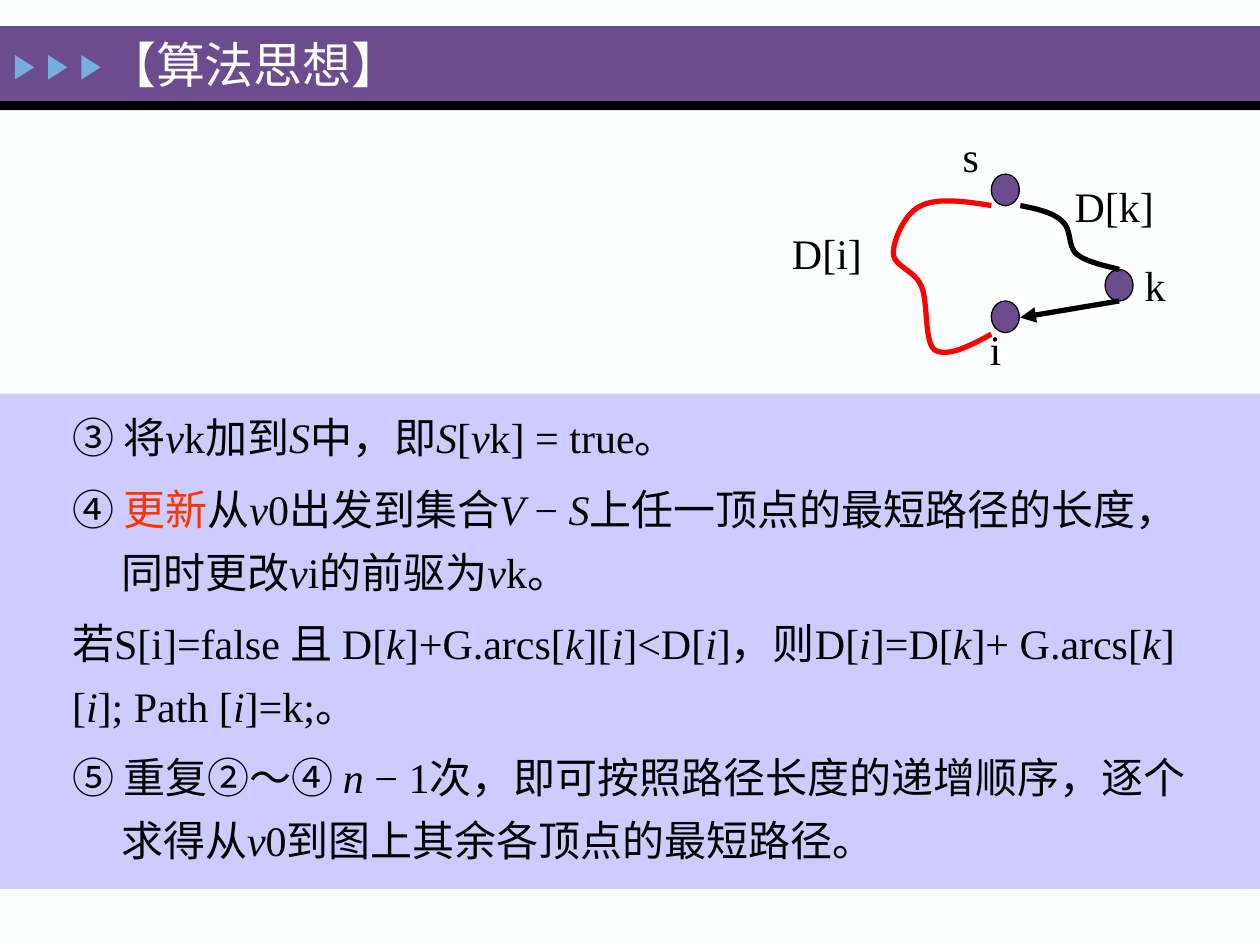
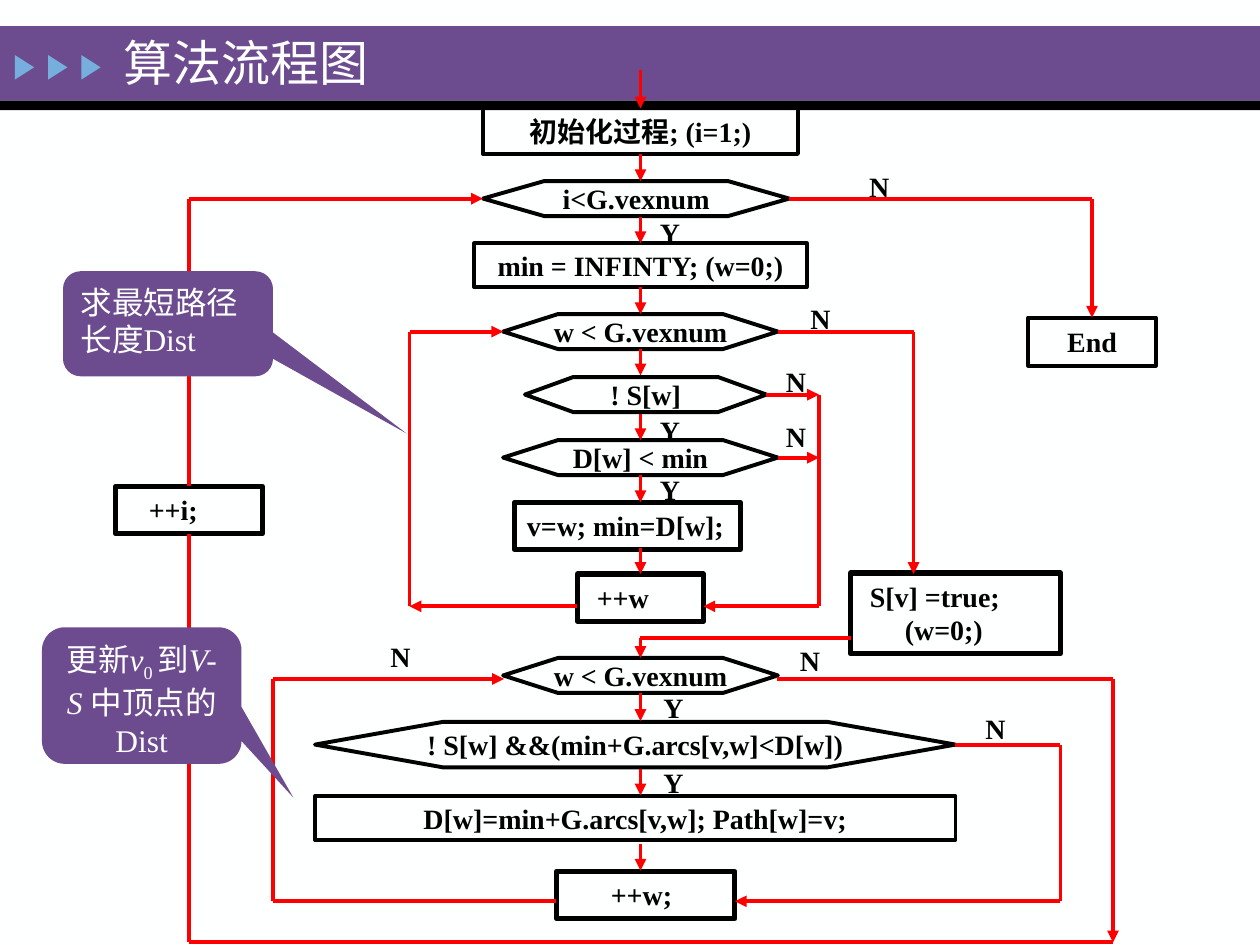
from itertools import pairwise

from lxml.etree import SubElement
from pptx import Presentation
from pptx.dml.color import RGBColor
from pptx.enum.shapes import MSO_CONNECTOR, MSO_SHAPE as SHAPE
from pptx.enum.text import MSO_ANCHOR as ANCHOR, MSO_AUTO_SIZE as FIT, PP_ALIGN as ALIGN
from pptx.oxml.ns import qn
from pptx.util import Pt

FONT = "Times New Roman"
PURPLE, BLACK, WHITE, RED = "6C4C8F", "000000", "FEFFFF", "FF0000"
SKY, LILAC, ORANGE = "76AEDD", "CCCCFF", "FF3300"

STEPS = [
    (28, "③ 将*v*k加到*S*中，即*S*[*v*k] = true。"),
    (28, "④ #更新#从*v*0出发到集合*V *−* S*上任一顶点的最短路径的长度，同时更改*v*i的前驱为*v*k。"),
    (0, "若S[i]=false 且 D[*k*]+G.arcs[*k*][*i*]<D[*i*]，则D[*i*]=D[*k*]+ G.arcs[*k*][*i*]; Path [*i*]=k;。"),
    (28, "⑤ 重复②～④ *n *− 1次，即可按照路径长度的递增顺序，逐个求得从*v*0到图上其余各顶点的最短路径。"),
]
NODES = [(566.5, 99.5), (566.5, 172), (631.5, 154)]
NODE_LABELS = [("s", 543, 71, 25), ("i", 558.5, 181.5, 25), ("k", 647, 144.5, 33),
               ("D[i]", 445.5, 126.5, 89), ("D[k]", 607, 99.5, 97)]
PATHS = [
    (BLACK, (583, 117.5), [(593, 119.5, 602, 121.5, 607, 126.5), (612.5, 131, 610, 140.5, 615, 145),
                           (620.5, 150, 634.5, 152.5, 639.5, 154)]),
    (RED, (566.5, 117.5), [(551.5, 115, 535.5, 113, 526.5, 117.5), (517, 121.5, 510.5, 137.5, 510.5, 144.5),
                           (510.5, 152.5, 522.5, 154, 526.5, 163.5), (530.5, 172, 528, 195, 534, 200),
                           (541.5, 204.5, 554.5, 197.5, 566.5, 191)]),
]

TESTS = [
    ("i<G.vexnum", 276, 103.5, 175, 20),
    ("w < G.vexnum", 287.5, 179.5, 157, 20),
    ("! S[w]", 300, 215.5, 138, 20),
    ("D[w] < min", 287.5, 251.5, 157, 20),
    ("w < G.vexnum", 287.5, 376, 157, 20),
    ("! S[w] &&(min+G.arcs[v,w]<D[w])", 180, 412.5, 366, 26),
]
PROCESSES = [
    ("初始化过程; (i=1;)", 276, 62, 180, 26),
    ("min = INFINTY; (w=0;)", 271, 139, 190, 25),
    ("D[w]=min+G.arcs[v,w]; Path[w]=v;", 180, 455, 366, 25),
    ("End", 587.5, 181.5, 73, 27.5),
]
ACTIONS = [
    ([(0, "v=w; min=D[w];")], 294, 287, 129, 27),
    ([(4, "++w")], 330, 328, 72, 27),
    ([(24, "++w;")], 318, 498, 102, 27),
    ([(12, "++i;")], 66, 278, 84, 27),
    ([(4, "S[v] =true;"), (24, "(w=0;)")], 486, 327.5, 120, 46),
]
AXIS, DROP = 366, 15
TIPS = [103.5, 139, 179.5, 214.5, 251.5, 287, 328, 412, 454.5, 497.5]
ROUTES = [
    (True, [(AXIS, 40), (AXIS, 62)]),
    (True, [(108, 278), (108, 113.5), (276, 113.5)]),
    (False, [(108, 305), (108, 538.5), (636, 538.5)]),
    (True, [(444, 388), (636, 388), (636, 538.5)]),
    (True, [(451, 113.5), (624, 113.5), (624, 181.5)]),
    (True, [(444.5, 189.5), (522, 189.5), (522, 328)]),
    (True, [(330, 346.5), (234, 346.5)]),
    (True, [(234, 346.5), (234, 189.5), (287.5, 189.5)]),
    (True, [(438, 225.5), (468, 225.5)]),
    (True, [(444.5, 261.5), (468, 261.5)]),
    (True, [(468, 225.5), (468, 346.5), (402, 346.5)]),
    (True, [(486, 364.5), (AXIS, 364.5), (AXIS, 376)]),
    (True, [(318, 515), (156, 515), (156, 388), (288, 388)]),
    (True, [(546, 425.5), (606, 425.5), (606, 515), (420, 515)]),
]
BRANCHES = {
    "N": [(489.5, 93.5), (456, 169), (442, 204.5), (442, 236), (216, 362), (450, 364), (556, 403)],
    "Y": [(370, 119.5), (370, 233), (370, 266.5), (372, 391), (372, 434)],
}
CALLOUTS = [
    ("更新*v*#0 #到*V- S *中顶点的Dist", ALIGN.CENTER, (24, 358.5, 114, 78), (.76, .747, .167)),
    ("求最短路径长度Dist", ALIGN.LEFT, (36, 155, 120, 60), (1.137, 1.046, .167)),
]


def color(value):
    """Turn a hex string into a colour."""
    return RGBColor.from_string(value)


def make_red(font):
    """Mark a run as emphasised."""
    font.color.rgb = color(ORANGE)


def make_subscript(font):
    """Lower a run below the baseline."""
    font._element.set("baseline", "-25000")


def write(p, text, size, ink=BLACK, bold=False, align=ALIGN.LEFT, mark=make_red):
    """Fill a paragraph; *stars* give italics and #hashes apply mark."""
    p.alignment = align
    p.font.name, p.font.size, p.font.bold = FONT, Pt(size), bold
    p.font.color.rgb = color(ink)
    for i, part in enumerate(text.split("#")):
        for j, piece in enumerate(part.split("*")):
            if piece:
                r = p.add_run()
                r.text = piece
                if j % 2:
                    r.font.italic = True
                if i % 2:
                    mark(r.font)


def indent(p, left, first=0):
    """Set the left and first-line indents of a paragraph."""
    pPr = p._p.get_or_add_pPr()
    pPr.set("marL", str(Pt(left)))
    pPr.set("indent", str(Pt(first)))
    return pPr


def place(sp, x, y, w, h):
    """Move and size a shape."""
    sp.left, sp.top, sp.width, sp.height = Pt(x), Pt(y), Pt(w), Pt(h)


def style(sp, fill=None, line=None, width=0.75):
    """Set fill and outline and drop the shadow."""
    sp.shadow.inherit = False
    if fill:
        sp.fill.solid()
        sp.fill.fore_color.rgb = color(fill)
    else:
        sp.fill.background()
    if line:
        sp.line.color.rgb = color(line)
        sp.line.width = Pt(width)
    else:
        sp.line.fill.background()


def shape(s, kind, box, fill=None, line=None, width=0.75):
    """Add a styled preset shape."""
    sp = s.shapes.add_shape(kind, *map(Pt, box))
    style(sp, fill, line, width)
    return sp


def label(s, text, box, size, bold=False):
    """Add a small text box."""
    tf = s.shapes.add_textbox(*map(Pt, box)).text_frame
    tf.word_wrap = not bold
    write(tf.paragraphs[0], text, size, bold=bold)


def line(s, start, end, ink, width, arrow):
    """Add a straight connector."""
    c = s.shapes.add_connector(MSO_CONNECTOR.STRAIGHT, *map(Pt, start + end))
    c.line.color.rgb = color(ink)
    c.line.width = Pt(width)
    if arrow:
        SubElement(c.line._get_or_add_ln(), qn("a:tailEnd"), type="triangle")
    SubElement(c._element.spPr, qn("a:effectLst"))
    return c


def join(boxes, point, connect):
    """Glue a connector end to the box whose side has its middle there."""
    for sp in boxes:
        x, y, w, h = (v.pt for v in (sp.left, sp.top, sp.width, sp.height))
        sides = [(x + w / 2, y), (x, y + h / 2), (x + w / 2, y + h), (x + w, y + h / 2)]
        for site, (a, b) in enumerate(sides):
            if max(abs(a - point[0]), abs(b - point[1])) <= 1.5:
                connect(sp, site)
                return


def curve(s, ink, start, segments):
    """Draw an open line along Bézier segments."""
    points, a = [], start
    for x1, y1, x2, y2, x3, y3 in segments:
        for t in (n / 12 for n in range(1, 13)):
            u = 1 - t
            weights = u ** 3, 3 * u * u * t, 3 * u * t * t, t ** 3
            points.append(tuple(Pt(sum(k * v for k, v in zip(weights, vs)))
                                for vs in ((a[0], x1, x2, x3), (a[1], y1, y2, y3))))
        a = x3, y3
    builder = s.shapes.build_freeform(Pt(start[0]), Pt(start[1]))
    builder.add_line_segments(points, close=False)
    style(builder.convert_to_shape(), line=ink, width=3)


def decorate_master(prs, s):
    """Put background, bands and triangles on the slide master."""
    master = prs.slide_master
    master.background.fill.solid()
    master.background.fill.fore_color.rgb = color(WHITE)
    parts = [shape(s, SHAPE.RECTANGLE, (0, 15, 720, 42.5), PURPLE),
             shape(s, SHAPE.RECTANGLE, (0, 57.5, 720, 5.5), BLACK)]
    for i in range(3):
        sp = shape(s, SHAPE.ISOSCELES_TRIANGLE, (7 + 19 * i, 33, 14, 11), SKY)
        sp.rotation = 90
        parts.append(sp)
    for n, sp in enumerate(parts, 20):
        sp.element.nvSpPr.cNvPr.id = n
        master.shapes.element.append(sp.element)


def set_title(s, text, box):
    """Write the slide title in the band."""
    title = s.shapes.title
    place(title, *box)
    tf = title.text_frame
    tf.auto_size, tf.vertical_anchor = FIT.NONE, ANCHOR.MIDDLE
    write(tf.paragraphs[0], text, 28, WHITE)


def build_idea(s):
    """Build the slide with the steps and the small graph."""
    set_title(s, "【算法思想】", (54, 13, 297, 47.5))
    panel = shape(s, SHAPE.RECTANGLE, (0, 225, 720, 283), LILAC)
    s.shapes.element.insert(2, panel.element)
    body = s.placeholders[1]
    place(body, 34, 224.5, 664.5, 279.5)
    tf = body.text_frame
    tf.auto_size = FIT.NONE
    for i, (hang, text) in enumerate(STEPS):
        p = tf.add_paragraph() if i else tf.paragraphs[0]
        p.line_spacing = 1.25
        SubElement(indent(p, hang, -hang), qn("a:buNone"))
        write(p, text, 24)
    for x, y in NODES:
        shape(s, SHAPE.OVAL, (x, y, 16, 18), PURPLE, BLACK)
    for path in PATHS:
        curve(s, *path)
    line(s, (639.5, 172), (583, 181.5), BLACK, 3, True)
    for text, x, y, w in NODE_LABELS:
        label(s, text, (x, y, w, 36), 24)


def build_flowchart(s):
    """Build the flowchart slide."""
    set_title(s, "算法流程图", (63.5, 15, 177, 40.5))
    boxes = []
    for kind, items in ((SHAPE.FLOWCHART_PREPARATION, TESTS), (SHAPE.FLOWCHART_PROCESS, PROCESSES)):
        for text, *box in items:
            sp = shape(s, kind, box, line=BLACK, width=2.25)
            sp.text_frame.word_wrap = False
            sp.text_frame.vertical_anchor = ANCHOR.MIDDLE
            write(sp.text_frame.paragraphs[0], text, 16, bold=True, align=ALIGN.CENTER)
            boxes.append(sp)
    for rows, *box in ACTIONS:
        sp = shape(s, SHAPE.RECTANGLE, box, line=BLACK, width=3)
        tf = sp.text_frame
        tf.vertical_anchor = ANCHOR.TOP
        for i, (left, text) in enumerate(rows):
            p = tf.add_paragraph() if i else tf.paragraphs[0]
            indent(p, left)
            write(p, text, 16, bold=True)
        boxes.append(sp)
    drops = [(True, [(AXIS, tip - DROP), (AXIS, tip)]) for tip in TIPS]
    for arrow, points in ROUTES + drops:
        for start, end in pairwise(points):
            c = line(s, start, end, RED, 2.25, arrow and end == points[-1])
            join(boxes, start, c.begin_connect)
            join(boxes, end, c.end_connect)
    for text, spots in BRANCHES.items():
        for x, y in spots:
            label(s, text, (x, y, 26, 27), 16, bold=True)
    for text, align, box, adjustments in CALLOUTS:
        sp = shape(s, SHAPE.ROUNDED_RECTANGULAR_CALLOUT, box, PURPLE)
        for i, value in enumerate(adjustments):
            sp.adjustments[i] = value
        sp.text_frame.vertical_anchor = ANCHOR.TOP
        write(sp.text_frame.paragraphs[0], text, 18, WHITE, align=align, mark=make_subscript)


def main():
    """Build and save the presentation."""
    prs = Presentation()
    prs.slide_width, prs.slide_height = Pt(720), Pt(540)
    idea = prs.slides.add_slide(prs.slide_layouts[1])
    decorate_master(prs, idea)
    build_idea(idea)
    build_flowchart(prs.slides.add_slide(prs.slide_layouts[5]))
    prs.save("out.pptx")


if __name__ == "__main__":
    main()
